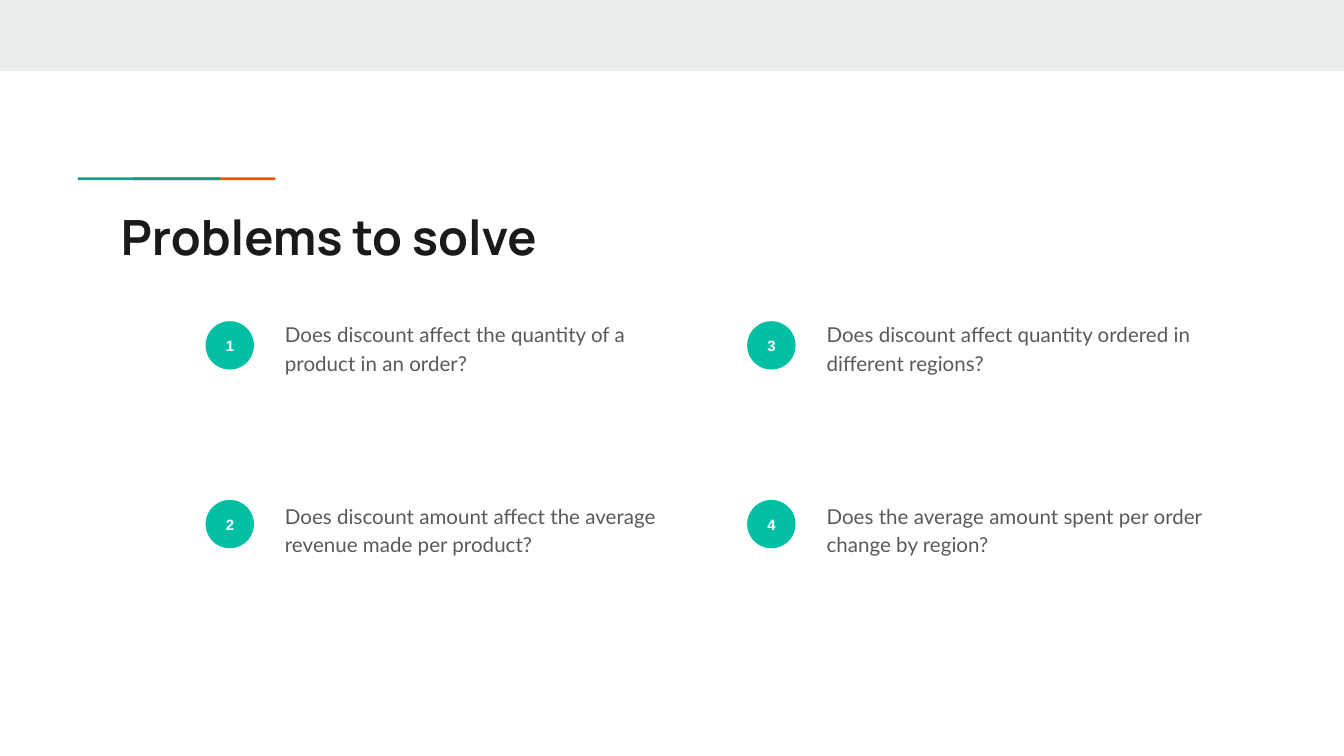
from dataclasses import dataclass

from pptx import Presentation
from pptx import util as u
from pptx.dml.color import RGBColor
from pptx.enum import shapes, text


@dataclass(frozen=True)
class Theme:
    band: str = "E9EDEE"
    teal: str = "1A9988"
    orange: str = "EB5600"
    badge: str = "00BFA5"
    badge_text: str = "FFFFFF"
    heading: str = "1A1A1A"
    body: str = "595959"
    heading_font: str = "Manrope"
    body_font: str = "Lato"
    badge_font: str = "Arial"
    heading_size: int = 26
    body_size: int = 11
    badge_size: int = 8


THEME = Theme()
COMPARISON_LAYOUT = 4  # a title and four text placeholders
SLIDE_WIDTH = 10
SLIDE_HEIGHT = SLIDE_WIDTH * 9 / 16

QUESTIONS = [
    "Does discount affect the quantity of a product in an order?",
    "Does discount amount affect the average revenue made per product?",
    "Does discount affect quantity ordered in different regions?",
    "Does the average amount spent per order change by region?",
]


def place(shape, left, top, width, height):
    shape.left, shape.top = u.Inches(left), u.Inches(top)
    shape.width, shape.height = u.Inches(width), u.Inches(height)


def add_filled(slide, kind, box, color):
    shape = slide.shapes.add_shape(kind, *map(u.Inches, box))
    shape.shadow.inherit = False
    shape.fill.solid()
    shape.fill.fore_color.rgb = RGBColor.from_string(color)
    shape.line.fill.background()
    return shape


def write(shape, words, font, size, color, bold, align, anchor):
    frame = shape.text_frame
    frame.word_wrap = True
    frame.auto_size = text.MSO_AUTO_SIZE.NONE
    frame.vertical_anchor = anchor
    frame.margin_left = frame.margin_right = u.Inches(0.1)
    frame.margin_top = frame.margin_bottom = u.Inches(0.1)
    frame.text = words
    paragraph = frame.paragraphs[0]
    paragraph.alignment = align
    paragraph.space_before = u.Pt(0)
    paragraph.font.name = font
    paragraph.font.size = u.Pt(size)
    paragraph.font.bold = bold
    paragraph.font.color.rgb = RGBColor.from_string(color)
    return paragraph


def remove_bullet(paragraph):
    properties = paragraph._p.get_or_add_pPr()
    properties.set("marL", "0")
    properties.set("indent", "0")
    bullet = properties.makeelement(
        "{http://schemas.openxmlformats.org/drawingml/2006/main}buNone", {})
    properties.insert_element_before(bullet, "a:tabLst", "a:defRPr", "a:extLst")


def add_header(slide, left, top, width):
    """Top band, two-colour accent rule and slide title."""
    rectangle = shapes.MSO_SHAPE.RECTANGLE
    add_filled(slide, rectangle, (left, top, width, 0.53), THEME.band)

    # The teal rule overlaps the start of the orange one
    for offset, color in ((0.99, THEME.orange), (0.58, THEME.teal)):
        add_filled(slide, rectangle, (left + offset, top + 1.32, 1.06, 0.02), color)

    title = slide.shapes.title
    place(title, left + 0.8, top + 1.44, 8.41, 0.59)
    write(title, "Problems to solve", THEME.heading_font, THEME.heading_size,
          THEME.heading, True, text.PP_ALIGN.LEFT, text.MSO_ANCHOR.TOP)


def add_question(slide, placeholder, number, question, left, top, badge_drop):
    """Numbered badge with its question to the right."""
    badge = add_filled(slide, shapes.MSO_SHAPE.OVAL,
                       (left, top + badge_drop, 0.36, 0.36), THEME.badge)
    write(badge, str(number), THEME.badge_font, THEME.badge_size,
          THEME.badge_text, True, text.PP_ALIGN.CENTER, text.MSO_ANCHOR.MIDDLE)

    place(placeholder, left + 0.49, top, 3.1, 1.15)
    paragraph = write(placeholder, question, THEME.body_font, THEME.body_size,
                      THEME.body, False, text.PP_ALIGN.LEFT, text.MSO_ANCHOR.TOP)
    paragraph.line_spacing = 1.15
    paragraph.space_after = u.Pt(16)
    remove_bullet(paragraph)


def add_questions(slide, left, top):
    """Two-by-two grid, numbered down each column."""
    bodies = [p for p in slide.placeholders if p.placeholder_format.idx > 0]
    for index, (body, question) in enumerate(zip(bodies, QUESTIONS)):
        column, row = divmod(index, 2)
        add_question(slide, body, index + 1, question,
                     left + column * 4.03, top + row * 1.35,
                     badge_drop=0.12 - row * 0.02)


def main():
    deck = Presentation()
    deck.slide_width = u.Inches(SLIDE_WIDTH)
    deck.slide_height = u.Inches(SLIDE_HEIGHT)
    slide = deck.slides.add_slide(deck.slide_layouts[COMPARISON_LAYOUT])
    add_header(slide, 0, 0, SLIDE_WIDTH)
    add_questions(slide, 1.53, 2.27)
    deck.save("out.pptx")


if __name__ == "__main__":
    main()
